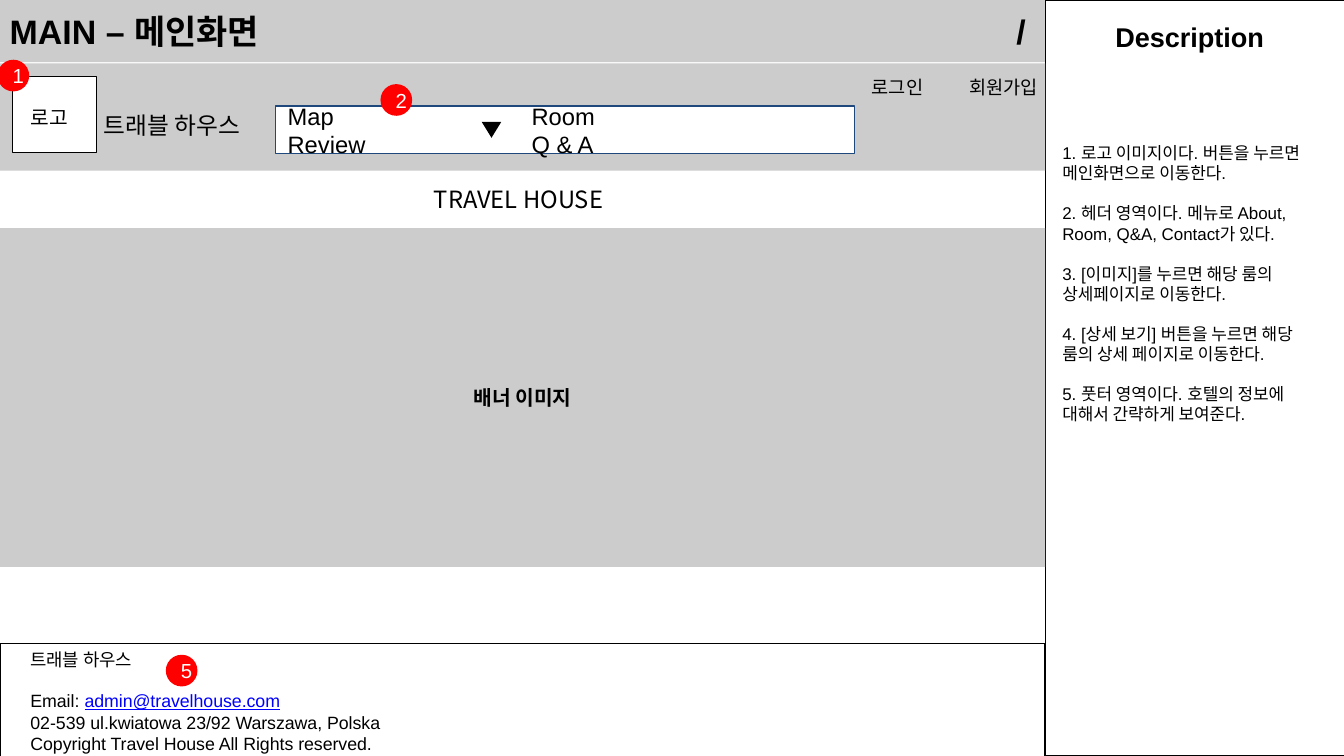
import collections
import pptx
import pptx.dml.color
import pptx.enum.shapes
import pptx.enum.text
import pptx.oxml.ns
import pptx.util
from lxml import etree

Inches = pptx.util.Inches
Pt = pptx.util.Pt
SHAPES = pptx.enum.shapes.MSO_SHAPE
ALIGN = pptx.enum.text.PP_ALIGN
ANCHOR = pptx.enum.text.MSO_ANCHOR

Box = collections.namedtuple("Box", "left top width height")
Theme = collections.namedtuple(
    "Theme", "black white gray red navy link latin korean title heading menu label small footer body line")
THEME = Theme(black="000000", white="FFFFFF", gray="CCCCCC", red="FF0000", navy="1F497D", link="0000FF",
              latin="Arial", korean="Noto Sans CJK KR", title=20, heading=16, menu=14, label=12,
              small=11, footer=10.5, body=10, line=0.74)
INSETS = (0.1, 0.05, 0.1, 0.05)


def within(box, left, top, width, height):
    """Return a box placed relative to the corner of another box."""
    return Box(box.left + left, box.top + top, width, height)


def color(value):
    """Turn a theme colour into an RGB colour."""
    return pptx.dml.color.RGBColor.from_string(value)


def set_attributes(target, values):
    """Set each attribute named in a dict."""
    for name, value in values.items():
        setattr(target, name, value)


def paint(shape, fill=None, line=None):
    """Set fill and outline, leaving out whichever is not given."""
    if fill:
        shape.fill.solid()
        shape.fill.fore_color.rgb = color(fill)
    else:
        shape.fill.background()
    if line:
        shape.line.color.rgb = color(line)
        shape.line.width = Pt(THEME.line)
    else:
        shape.line.fill.background()


def place(shape, box):
    """Move and size a shape to its box."""
    set_attributes(shape, {name: Inches(value) for name, value in box._asdict().items()})


def add_block(slide, box, fill=None, line=None, kind=SHAPES.RECTANGLE):
    """Add a flat preset shape."""
    shape = slide.shapes.add_shape(kind, *map(Inches, box))
    shape.shadow.inherit = False
    paint(shape, fill, line)
    return shape


def add_text(slide, box, paragraphs, size, **options):
    """Add a text box and write its paragraphs."""
    shape = slide.shapes.add_textbox(*map(Inches, box))
    write(shape, paragraphs, size, **{"anchor": ANCHOR.TOP, **options})
    return shape


def add_run(paragraph, text, size, tint, bold, font):
    """Add a run with its Latin and Korean typefaces."""
    run = paragraph.add_run()
    run.text = text
    set_attributes(run.font, {"size": Pt(size), "bold": bold, "name": font})
    run.font.color.rgb = color(tint)
    east_asian = etree.SubElement(run.font._element, pptx.oxml.ns.qn("a:ea"))
    east_asian.set("typeface", THEME.korean)
    return run


def write(shape, paragraphs, size, tint=THEME.black, bold=False, font=THEME.latin, align=ALIGN.LEFT,
          anchor=ANCHOR.MIDDLE, insets=INSETS, gap=0, wrap=True, tab=None):
    """Write paragraphs into a shape, with an optional gap and tab stop."""
    frame = shape.text_frame
    left, top, right, bottom = map(Inches, insets)
    set_attributes(frame, {
        "word_wrap": wrap, "auto_size": pptx.enum.text.MSO_AUTO_SIZE.NONE, "vertical_anchor": anchor,
        "margin_left": left, "margin_top": top, "margin_right": right, "margin_bottom": bottom})
    for index, text in enumerate(paragraphs):
        paragraph = frame.add_paragraph() if index else frame.paragraphs[0]
        set_attributes(paragraph, {"alignment": align, "space_before": Pt(0), "space_after": Pt(gap)})
        if tab:
            stops = etree.SubElement(paragraph._p.get_or_add_pPr(), pptx.oxml.ns.qn("a:tabLst"))
            stop = etree.SubElement(stops, pptx.oxml.ns.qn("a:tab"))
            stop.set("pos", str(Inches(tab)))
            stop.set("algn", "l")
        add_run(paragraph, text, size, tint, bold, font)


def add_badge(slide, box, left, top, number):
    """Add a red numbered marker relative to a region."""
    badge = add_block(slide, within(box, left, top, 0.26, 0.26), THEME.red, kind=SHAPES.OVAL)
    write(badge, [number], THEME.label, THEME.white, align=ALIGN.CENTER)


def build_title_bar(slide, box):
    """Build the title bar with the screen name and a slash."""
    title = slide.shapes.title
    place(title, box)
    paint(title, THEME.gray)
    write(title, ["MAIN – 메인화면"], THEME.title, bold=True, insets=(0.08, 0, 0, 0))
    add_text(slide, within(box, 5.54, 0.06, 2.97, 0.39), ["/"], THEME.title, bold=True,
             align=ALIGN.RIGHT, anchor=ANCHOR.MIDDLE)


def build_description(slide, box):
    """Build the description panel with its numbered notes."""
    notes = ["로고 이미지이다. 버튼을 누르면 메인화면으로 이동한다.",
             "헤더 영역이다. 메뉴로 About, Room, Q&A, Contact가 있다.",
             "[이미지]를 누르면 해당 룸의 상세페이지로 이동한다.",
             "[상세 보기] 버튼을 누르면 해당 룸의 상세 페이지로 이동한다.",
             "풋터 영역이다. 호텔의 정보에 대해서 간략하게 보여준다."]
    body = slide.placeholders[1]
    place(body, box)
    paint(body, THEME.white, THEME.black)
    write(body, [f"{number}. {note}" for number, note in enumerate(notes, 1)], THEME.body,
          anchor=ANCHOR.TOP, insets=(0.14, 1.17, 0.18, 0.05), gap=11.5)
    for paragraph in body.text_frame.paragraphs:
        properties = paragraph._p.get_or_add_pPr()
        properties.set("marL", "0")
        properties.set("indent", "0")
        etree.SubElement(properties, pptx.oxml.ns.qn("a:buNone"))
    add_text(slide, within(box, 0.04, 0.12, 2.29, 0.39), ["Description"], THEME.heading,
             bold=True, align=ALIGN.CENTER)


def build_header(slide, box):
    """Build the header with logo box, site name, menu and member entries."""
    add_block(slide, box, THEME.gray)
    logo = add_block(slide, within(box, 0.1, 0.11, 0.69, 0.62), THEME.white, THEME.black)
    write(logo, ["로고"], THEME.label, align=ALIGN.CENTER, insets=(0.1, 0.1, 0.18, 0.05))
    add_text(slide, within(box, 0.75, 0.34, 1.5, 0.38), ["트래블 하우스"], THEME.menu, font=THEME.korean)
    menu = add_block(slide, within(box, 2.26, 0.35, 4.75, 0.39), THEME.white, THEME.navy)
    write(menu, ["Map\tRoom", "Review\tQ & A"], THEME.menu, tab=2)
    arrow = add_block(slide, within(box, 3.95, 0.48, 0.16, 0.13), THEME.black,
                      kind=SHAPES.ISOSCELES_TRIANGLE)
    arrow.rotation = 180
    add_text(slide, within(box, 7.05, 0.05, 1.95, 0.27), ["로그인\t회원가입"], THEME.small, tab=0.8)
    add_badge(slide, box, -0.02, -0.03, "1")
    add_badge(slide, box, 3.12, 0.17, "2")


def build_banner(slide, box):
    """Build the site heading and the banner below it."""
    add_text(slide, within(box, 3.46, 0.07, 1.81, 0.36), ["TRAVEL HOUSE"], THEME.menu, font=THEME.korean)
    banner = add_block(slide, within(box, 0, 0.47, box.width, box.height - 0.47), THEME.gray)
    write(banner, ["배너 이미지"], THEME.label, bold=True, align=ALIGN.CENTER)


def build_footer(slide, box):
    """Build the footer with the contact lines."""
    footer = add_block(slide, box, THEME.white, THEME.black)
    write(footer, ["트래블 하우스", "Email: ", "02-539 ul.kwiatowa 23/92 Warszawa, Polska",
                   "Copyright Travel House All Rights reserved."],
          THEME.footer, insets=(0.25, 0.05, 0.1, 0.05))
    name, email = footer.text_frame.paragraphs[:2]
    name.space_after = Pt(12)
    address = add_run(email, "admin@travelhouse.com", THEME.footer, THEME.link, False, THEME.latin)
    address.font.underline = True
    add_badge(slide, box, 1.36, 0.09, "5")


def main():
    """Build the slide and save it."""
    presentation = pptx.Presentation()
    set_attributes(presentation, {"slide_width": Inches(11.02), "slide_height": Inches(6.2)})
    slide = presentation.slides.add_slide(presentation.slide_layouts[1])
    screen_width = 8.57
    build_description(slide, Box(screen_width, 0, 2.46, 6.2))
    build_title_bar(slide, Box(0, 0, screen_width, 0.51))
    build_header(slide, Box(0, 0.52, screen_width, 0.88))
    build_banner(slide, Box(0, 1.4, screen_width, 3.25))
    build_footer(slide, Box(0, 5.28, screen_width, 0.94))
    presentation.save("out.pptx")


main()
